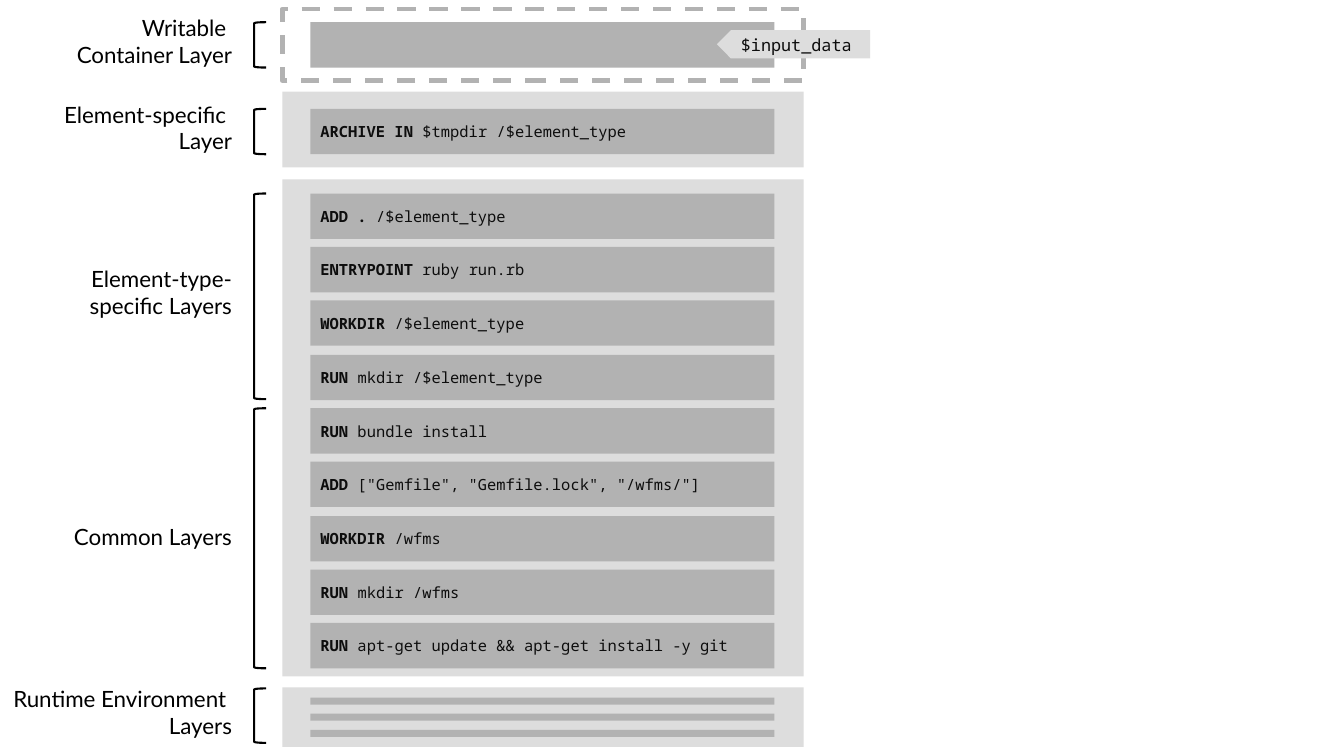
from dataclasses import dataclass

from pptx import Presentation
from pptx import util as u
from pptx.dml import color
from pptx.enum import dml, shapes, text

PX = 9144


@dataclass(frozen=True)
class Theme:
    panel: str = "DDDDDD"
    bar: str = "B2B2B2"
    ink: str = "0D0D0D"
    black: str = "000000"
    sans: str = "Lato"
    mono: str = "Noto Sans Mono"
    label: int = 16
    code: int = 11
    tag: int = 12
    thin: float = 1.5
    thick: float = 3.25


@dataclass(frozen=True)
class Box:
    x: int
    y: int
    w: int
    h: int


@dataclass(frozen=True)
class Group:
    lines: tuple[str, ...]
    label: Box
    top: int
    height: int


@dataclass(frozen=True)
class Step:
    verb: str
    rest: str


THEME = Theme()
KIND = shapes.MSO_SHAPE
LEFT, WIDE = 280, 517
BAR_X, BAR_W, BAR_H = 308, 460, 45
FIRST, PITCH = 192, 53.25

PANELS = (Box(LEFT, 178, WIDE, 493), Box(LEFT, 682, WIDE, 59), Box(LEFT, 91, WIDE, 75))
GROUPS = (
    Group(("Writable ", "Container Layer"), Box(61, 9, 179, 64), 22, 45),
    Group(("Element-specific ", "Layer"), Box(52, 95, 188, 64), 108, 45),
    Group(("Element-type-", "specific Layers"), Box(77, 258, 163, 64), 192, 204),
    Group(("Common Layers",), Box(61, 514, 179, 37), 405, 258),
    Group(("Runtime Environment ", "Layers"), Box(0, 675, 240, 64), 683, 54),
)
ARCHIVE = Step("ARCHIVE IN ", "$tmpdir /$element_type")
STEPS = (
    Step("ADD . ", "/$element_type"),
    Step("ENTRYPOINT", " ruby run.rb"),
    Step("WORKDIR", " /$element_type"),
    Step("RUN ", "mkdir /$element_type"),
    Step("RUN", " bundle install"),
    Step("ADD", ' ["Gemfile", "Gemfile.lock", "/wfms/"]'),
    Step("WORKDIR", " /wfms"),
    Step("RUN ", "mkdir /wfms"),
    Step("RUN", " apt-get update && apt-get install -y git"),
)


def write(para, words: str, *, font: str, size: int, tint: str, bold: bool = False) -> None:
    run = para.add_run()
    run.text = words
    run.font.name = font
    run.font.size = u.Pt(size)
    run.font.bold = bold
    run.font.color.rgb = color.RGBColor.from_string(tint)


def draw(slide, kind, box: Box, *, fill: str = "", line: str = "", width: float = 0):
    shape = slide.shapes.add_shape(kind, box.x * PX, box.y * PX, box.w * PX, box.h * PX)
    shape.shadow.inherit = False
    if fill:
        shape.fill.solid()
        shape.fill.fore_color.rgb = color.RGBColor.from_string(fill)
    else:
        shape.fill.background()
    if line:
        shape.line.color.rgb = color.RGBColor.from_string(line)
        shape.line.width = u.Pt(width)
    else:
        shape.line.fill.background()
    frame = shape.text_frame
    frame.vertical_anchor = text.MSO_ANCHOR.MIDDLE
    frame.paragraphs[0].alignment = text.PP_ALIGN.LEFT
    return shape


def draw_step(slide, step: Step, top: int) -> None:
    bar = draw(slide, KIND.RECTANGLE, Box(BAR_X, top, BAR_W, BAR_H), fill=THEME.bar)
    para = bar.text_frame.paragraphs[0]
    for words, bold in ((step.verb, True), (step.rest, False)):
        write(para, words, font=THEME.mono, size=THEME.code, tint=THEME.ink, bold=bold)


def draw_group(slide, group: Group) -> None:
    draw(slide, KIND.LEFT_BRACKET, Box(252, group.top, 12, group.height),
         line=THEME.black, width=THEME.thin)
    box = group.label
    label = slide.shapes.add_textbox(box.x * PX, box.y * PX, box.w * PX, box.h * PX)
    frame = label.text_frame
    frame.word_wrap = False
    frame.auto_size = text.MSO_AUTO_SIZE.SHAPE_TO_FIT_TEXT
    for i, words in enumerate(group.lines):
        para = frame.add_paragraph() if i else frame.paragraphs[0]
        para.alignment = text.PP_ALIGN.RIGHT
        write(para, words, font=THEME.sans, size=THEME.label, tint=THEME.black)


def draw_top(slide) -> None:
    edge = draw(slide, KIND.RECTANGLE, Box(LEFT, 9, WIDE, 71),
                line=THEME.bar, width=THEME.thick)
    edge.line.dash_style = dml.MSO_LINE.DASH
    draw(slide, KIND.RECTANGLE, Box(BAR_X, 22, BAR_W, BAR_H), fill=THEME.bar)
    tag = draw(slide, KIND.LEFT_ARROW, Box(711, 30, 152, 28), fill=THEME.panel)
    tag.adjustments[0] = 1
    tag.adjustments[1] = 0.5
    write(tag.text_frame.paragraphs[0], "$input_data",
          font=THEME.mono, size=THEME.tag, tint=THEME.ink)


def main() -> None:
    deck = Presentation()
    deck.slide_width = 1333 * PX
    deck.slide_height = 750 * PX
    slide = deck.slides.add_slide(deck.slide_layouts[6])
    for panel in PANELS:
        draw(slide, KIND.RECTANGLE, panel, fill=THEME.panel)
    for i in range(3):
        draw(slide, KIND.RECTANGLE, Box(BAR_X, 692 + 16 * i, BAR_W, 7), fill=THEME.bar)
    for i, step in enumerate(STEPS):
        draw_step(slide, step, FIRST + round(i * PITCH))
    draw_step(slide, ARCHIVE, 108)
    for group in GROUPS:
        draw_group(slide, group)
    draw_top(slide)
    deck.save("out.pptx")


if __name__ == "__main__":
    main()
